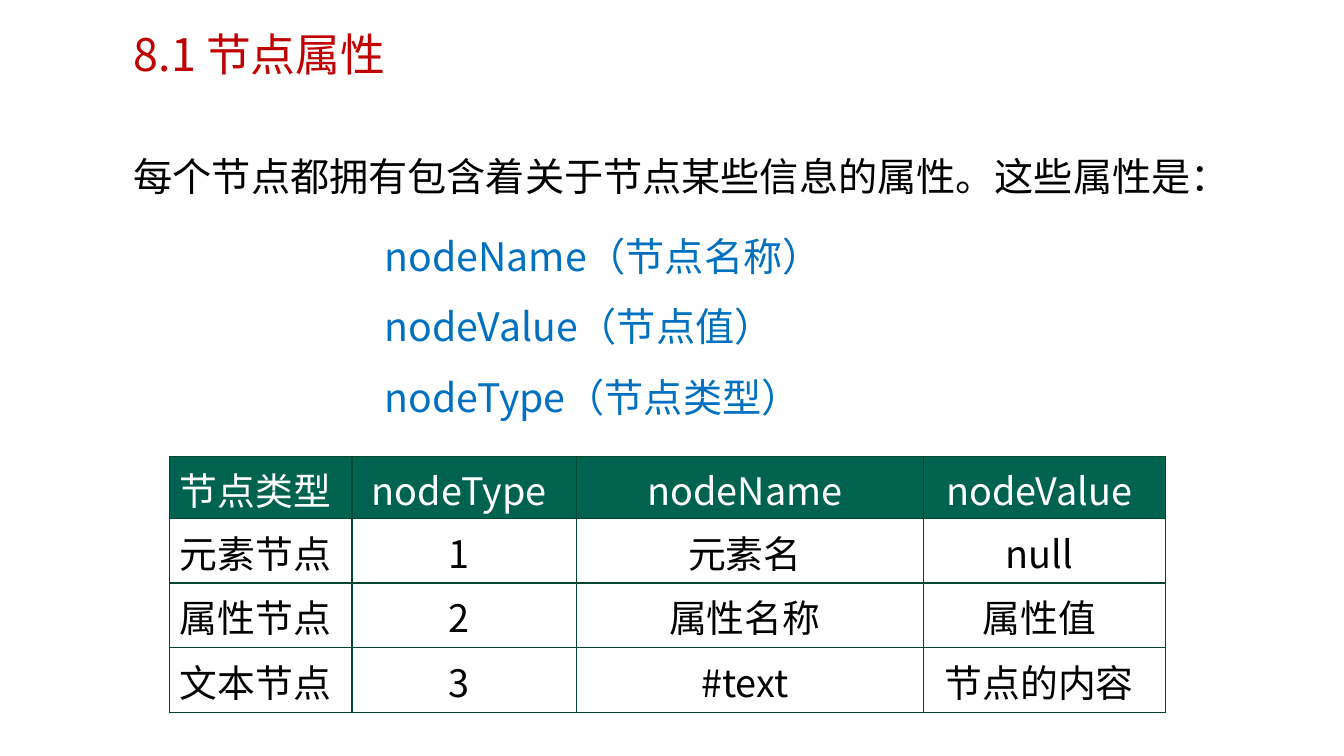
from dataclasses import dataclass

from lxml import etree
from pptx import Presentation
from pptx.dml.color import RGBColor
from pptx.enum import text
from pptx.oxml import ns
from pptx.util import Cm, Pt


@dataclass(frozen=True)
class Theme:
    font: str = "Noto Sans CJK SC"
    title: str = "C00000"
    body: str = "000000"
    accent: str = "0070C0"
    header_text: str = "FFFFFF"
    header_fill: str = "00634F"
    border: str = "024731"
    title_size: int = 32
    body_size: int = 28
    table_size: int = 27


THEME = Theme()

PROPERTIES = ["nodeName（节点名称）", "nodeValue（节点值）", "nodeType（节点类型）"]
NODE_TABLE = [
    ["节点类型", "nodeType", "nodeName", "nodeValue"],
    ["元素节点", "1", "元素名", "null"],
    ["属性节点", "2", "属性名称", "属性值"],
    ["文本节点", "3", "#text", "节点的内容"],
]
COLUMN_WIDTHS = [4.6, 5.66, 8.74, 6.1]
ROW_HEIGHTS = [1.55, 1.63, 1.63, 1.63]


def apply(obj, **values):
    for name, value in values.items():
        setattr(obj, name, value)


def write(tf, lines, size, color, **paragraph_format):
    """Fill a text frame with one paragraph per line."""
    for i, line in enumerate(lines):
        p = tf.paragraphs[0] if i == 0 else tf.add_paragraph()
        apply(p, **paragraph_format)
        r = p.add_run()
        r.text = line
        apply(r.font, name=THEME.font, size=Pt(size))
        r.font.color.rgb = RGBColor.from_string(color)
        east_asian = etree.SubElement(r.font._element, ns.qn("a:ea"))
        east_asian.set("typeface", THEME.font)


def add_title(slide, line):
    sp = slide.shapes.title
    apply(sp, left=Cm(3.12), top=Cm(0.66), width=Cm(20.45), height=Cm(1.37))
    apply(sp.text_frame, word_wrap=True, vertical_anchor=text.MSO_ANCHOR.MIDDLE,
          auto_size=text.MSO_AUTO_SIZE.NONE)
    write(sp.text_frame, [line], THEME.title_size, THEME.title,
          alignment=text.PP_ALIGN.LEFT)


def add_text(slide, lines, color, left, top, width, height):
    sp = slide.shapes.add_textbox(Cm(left), Cm(top), Cm(width), Cm(height))
    sp.text_frame.word_wrap = True
    write(sp.text_frame, lines, THEME.body_size, color, line_spacing=1.5)


def set_borders(cell):
    tc_pr = cell._tc.get_or_add_tcPr()
    for i, side in enumerate(["lnL", "lnR", "lnT", "lnB"]):
        ln = etree.Element(ns.qn(f"a:{side}"), w=str(Pt(1)))
        fill = etree.SubElement(ln, ns.qn("a:solidFill"))
        etree.SubElement(fill, ns.qn("a:srgbClr"), val=THEME.border)
        tc_pr.insert(i, ln)


def format_cell(cell, value, is_header):
    padding = Cm(0.13 if is_header else 0.15)
    apply(cell, margin_left=Cm(0.15), margin_right=Cm(0.41), margin_top=padding,
          margin_bottom=padding, vertical_anchor=text.MSO_ANCHOR.MIDDLE)
    if is_header:
        cell.fill.solid()
        cell.fill.fore_color.rgb = RGBColor.from_string(THEME.header_fill)
    else:
        cell.fill.background()
    set_borders(cell)
    write(cell.text_frame, [value], THEME.table_size,
          THEME.header_text if is_header else THEME.body,
          alignment=text.PP_ALIGN.CENTER)


def add_node_table(slide, left, top):
    frame = slide.shapes.add_table(
        len(ROW_HEIGHTS), len(COLUMN_WIDTHS), Cm(left), Cm(top),
        Cm(sum(COLUMN_WIDTHS)), Cm(sum(ROW_HEIGHTS)))
    table = frame.table
    table.horz_banding = False
    for column, width in zip(table.columns, COLUMN_WIDTHS):
        column.width = Cm(width)
    for i, (row, height) in enumerate(zip(table.rows, ROW_HEIGHTS)):
        row.height = Cm(height)
        for cell, value in zip(row.cells, NODE_TABLE[i]):
            format_cell(cell, value, is_header=i == 0)


def main():
    prs = Presentation()
    apply(prs, slide_width=Cm(33.87), slide_height=Cm(19.05))
    slide = prs.slides.add_slide(prs.slide_layouts[5])
    add_title(slide, "8.1 节点属性")
    add_text(slide, ["每个节点都拥有包含着关于节点某些信息的属性。这些属性是："],
             THEME.body, 3.12, 3.12, 28.42, 2.06)
    add_text(slide, PROPERTIES, THEME.accent, 9.45, 5.13, 14.76, 7.95)
    add_node_table(slide, 4.27, 11.51)
    prs.save("out.pptx")


if __name__ == "__main__":
    main()
